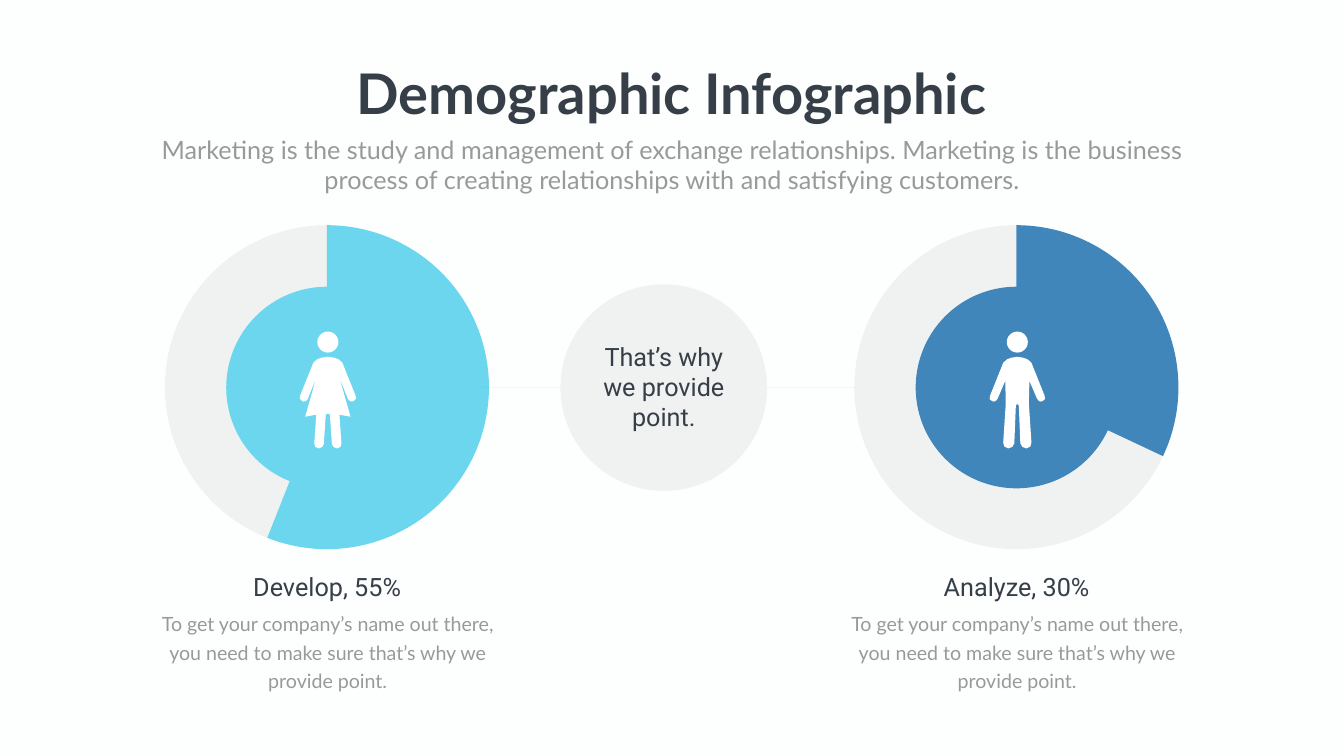
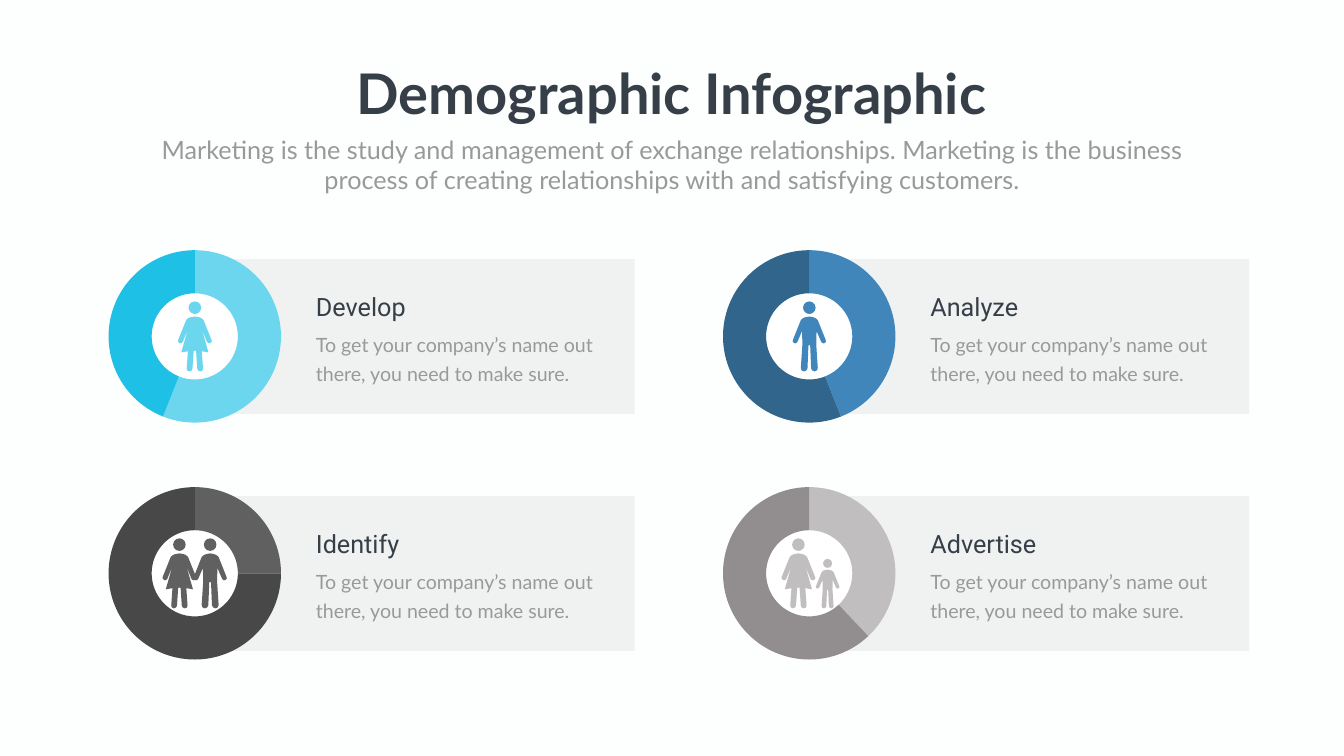
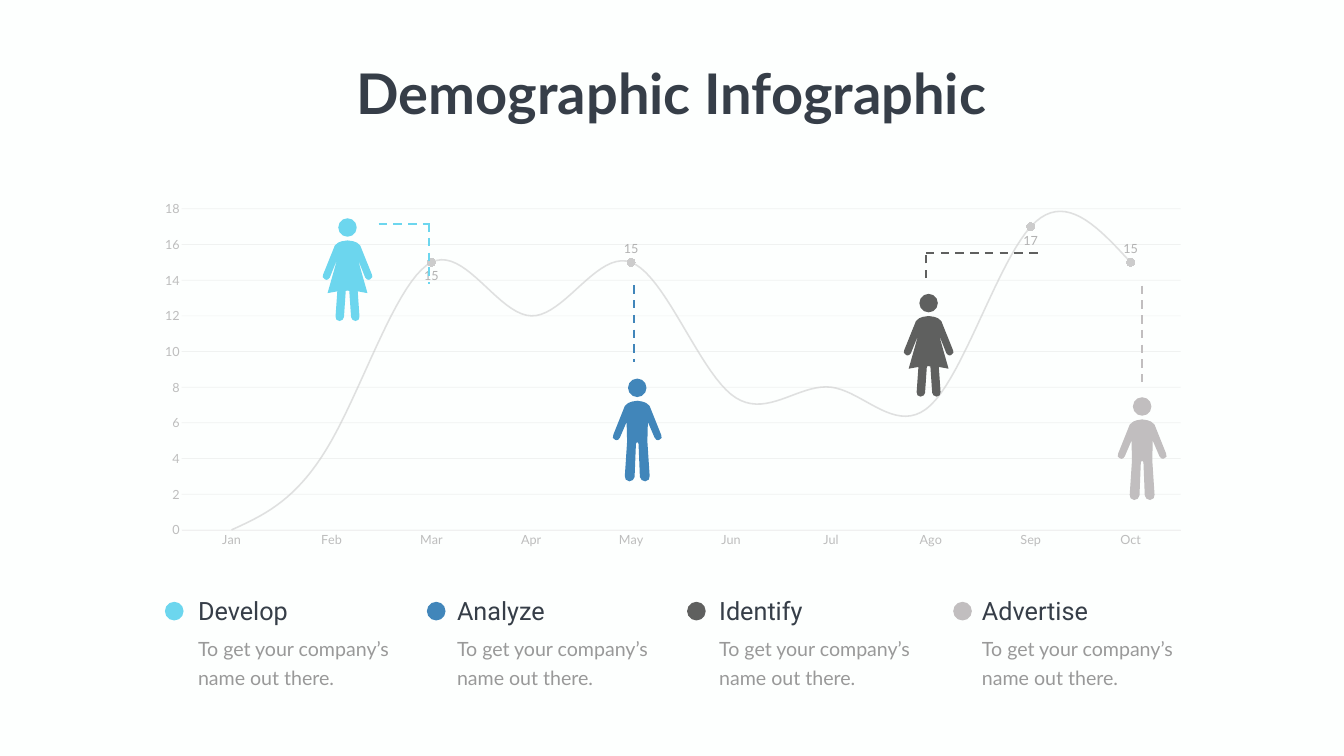
from lxml import etree
from pptx import Presentation
from pptx import util as u
from pptx.chart import data as cd
from pptx.dml import color as dc
from pptx.enum import chart as ch, dml, shapes, text
from pptx.oxml import ns

Cm, Pt = u.Cm, u.Pt
RECT, OVAL = shapes.MSO_SHAPE.RECTANGLE, shapes.MSO_SHAPE.OVAL
RING = ch.XL_CHART_TYPE.DOUGHNUT
LEFT, MID = text.PP_ALIGN.LEFT, text.PP_ALIGN.CENTER

INK = {
    "page": "FDFFFE", "white": "FFFFFF", "dark": "363E48", "gray": "999999",
    "sky": "6CD6EE", "cyan": "1EC0E5", "blue": "4186BA", "navy": "31658B",
    "coal": "5F605F", "soot": "474847", "ash": "C1BEBF", "stone": "928D8F",
    "veil": "808080", "thread": "808080", "curve": "CCCCCC", "dot": "CCCCCC",
    "base": "F0F0F0", "axis": "BDBDBD", "label": "B2B2B2",
}
ALPHA = {"veil": 10, "thread": 20, "curve": 60}  # percent
STYLE = {  # font, size, colour, bold, line spacing
    "title": ("Lato", 80, "dark", True, None),
    "lead": ("Lato", 36, "gray", False, None),
    "head": ("Roboto", 36, "dark", False, None),
    "core": ("Roboto", 36, "dark", False, Pt(43)),
    "body": ("Lato", 28, "gray", False, Pt(40.8)),
}
# Right half of each figure below the head; the full height is 232 units
HALF = {
    "woman": [(0, 50), (13, 52), (21, 55), (27, 60), (29, 62), (30, 65), (55, 127),
              (56, 133), (51, 138), (48, 139), (44, 138), (40, 134), (24, 94),
              (24, 95), (45, 169), (23, 165), (27, 222), (25, 229), (18, 232),
              (11, 229), (8, 223), (4, 164), (0, 163)],
    "man": [(0, 50), (12, 52), (20, 55), (26, 60), (28, 62), (54, 127), (55, 134),
            (50, 138), (47, 139), (43, 138), (39, 133), (24, 98), (23, 137),
            (23, 144), (28, 220), (26, 228), (18, 232), (10, 229), (6, 222),
            (3, 148), (2, 145), (0, 144)],
}


def paint(fill, name):
    """Make a fill solid, with the transparency its colour calls for."""
    fill.solid()
    fill.fore_color.rgb = dc.RGBColor.from_string(INK[name])
    if name in ALPHA:
        tone = fill._xPr.find(".//" + ns.qn("a:srgbClr"))
        etree.SubElement(tone, ns.qn("a:alpha"), val=str(ALPHA[name] * 1000))


def write(slide, words, style, x, y, w, h, align=LEFT):
    font, size, ink, bold, gap = STYLE[style]
    frame = slide.shapes.add_textbox(Cm(x), Cm(y), Cm(w), Cm(h)).text_frame
    frame.word_wrap = style != "title"
    frame.auto_size = text.MSO_AUTO_SIZE.SHAPE_TO_FIT_TEXT
    frame.text = words
    par = frame.paragraphs[0]
    par.alignment, par.line_spacing = align, gap
    par.font.name, par.font.size, par.font.bold = font, Pt(size), bold
    par.font.color.rgb = dc.RGBColor.from_string(INK[ink])


deck = Presentation()
deck.slide_width, deck.slide_height = Cm(67.72), Cm(38.1)
share, grid, trend = [deck.slides.add_slide(deck.slide_layouts[6]) for _ in range(3)]
for slide in (share, grid, trend):
    paint(slide.background.fill, "page")

forms = []   # slide, kind, left, top, width, height, colour (or ring data)
people = []  # slide, kind, centre, top, height, colour
lines = []   # slide, x1, y1, x2, y2, colour
words = []   # slide, words, style, left, top, width, height, alignment
plots = []   # chart, layout of its plot area

# Slide 1: two shares and a link
PITCH = "To get your company’s name out there, you need to make sure that’s why we provide point."
for x, kind, label, part, ink in ((7.42, "woman", "Develop, 55%", 56, "sky"),
                                  (42.16, "man", "Analyze, 30%", 32, "blue")):
    forms += [(share, RING, x, 11.02, 18.11, 16.99, (part, ink, "veil", 80, 16.33)),
              (share, OVAL, x + 3.98, 14.45, 10.16, 10.16, ink)]
    people.append((share, kind, x + 9.1, 16.71, 5.89, "white"))
    words += [(share, PITCH, "body", x + .05, 30.48, 18.08, 4.5, MID),
              (share, label, "head", x + 1.8, 28.68, 14.53, 1.8, MID)]
forms.append((share, OVAL, 28.24, 14.33, 10.41, 10.41, "veil"))
words.append((share, "That’s why we provide point.", "core", 29.41, 17.09, 8.08, 4.85, MID))
lines += [(share, 24.28, 19.53, 28.24, 19.53, "thread"),
          (share, 38.66, 19.53, 43.1, 19.53, "thread")]

# Slide 2: two by two cards
CARDS = [("Develop", 56, "sky", "cyan", 6.83), ("Analyze", 44, "blue", "navy", 6.83),
         ("Identify", 25, "coal", "soot", 8.59), ("Advertise", 38, "ash", "stone", 6.83)]
for i, (label, part, ink, deep, disc) in enumerate(CARDS):
    x, y = 11.1 + i % 2 * 30.96, 13.06 + i // 2 * 11.94
    forms += [(grid, RECT, x, y, 20.88, 7.8, "veil"),
              (grid, OVAL, x - 1.28 - disc / 2, y + 3.9 - disc / 2, disc, disc, "white"),
              (grid, RING, x - 6.29, y - .79, 10.01, 9.37, (part, ink, deep, 70, 8.69))]
    words += [(grid, "To get your company’s name out there, you need to make sure.",
               "body", x + 4.57, y + 3.35, 14.94, 3.02, LEFT),
              (grid, label, "head", x + 4.57, y + 1.52, 14.53, 1.8, LEFT)]
people += [(grid, "woman", 9.82, 15.19, 3.53, "sky"), (grid, "man", 40.78, 15.19, 3.53, "blue"),
           (grid, "man", 10.59, 27.13, 3.53, "coal"), (grid, "woman", 9.04, 27.13, 3.53, "coal"),
           (grid, "woman", 40.23, 27.13, 3.53, "ash"), (grid, "man", 41.7, 28.17, 2.49, "ash")]

# Slide 3: monthly curve, markers and key
info = cd.CategoryChartData()
info.categories = ["Jan", "Feb", "Mar", "Apr", "May", "Jun", "Jul", "Ago", "Sep", "Oct"]
info.add_series("Series 1", (0, 5, 15, 12, 15, 7.6, 8, 7, 17, 15))
chart = trend.shapes.add_chart(ch.XL_CHART_TYPE.LINE_MARKERS, Cm(7.29), Cm(9.8),
                               Cm(53.21), Cm(18.16), info).chart
plots.append((chart, (.035, .04, .946, .891)))
chart.font.name, chart.font.size = "Lato", Pt(18)
for axis in (chart.category_axis, chart.value_axis):
    axis.major_tick_mark = axis.minor_tick_mark = ch.XL_TICK_MARK.NONE
    font = axis.tick_labels.font
    font.name, font.size = "Lato", Pt(18)
    font.color.rgb = dc.RGBColor.from_string(INK["axis"])
paint(chart.category_axis.format.line.fill, "base")
chart.category_axis.format.line.width = Pt(.75)
scale = chart.value_axis
scale.minimum_scale, scale.maximum_scale, scale.major_unit = 0, 18, 2
scale.format.line.fill.background()
mesh = scale.major_gridlines.format.line
mesh.width = Pt(1)
paint(mesh.fill, "veil")
curve = chart.plots[0].series[0]
curve.smooth = True
curve.format.line.width = Pt(2.25)
paint(curve.format.line.fill, "curve")
curve.marker.style = ch.XL_MARKER_STYLE.NONE
BELOW, ABOVE = ch.XL_LABEL_POSITION.BELOW, ch.XL_LABEL_POSITION.ABOVE
for i, side in ((2, BELOW), (4, ABOVE), (8, BELOW), (9, ABOVE)):
    point = curve.points[i]
    point.format.line.width = Pt(2.25)
    paint(point.format.line.fill, "curve")
    point.marker.style, point.marker.size = ch.XL_MARKER_STYLE.CIRCLE, 11
    paint(point.marker.format.fill, "dot")
    point.marker.format.line.fill.background()
    font = point.data_label.font
    font.name, font.size = "Lato", Pt(18)
    font.color.rgb = dc.RGBColor.from_string(INK["label"])
    point.data_label.position = side
curve.data_labels.show_value = False

lines += [(trend, 21.62, 11.25, 21.62, 14.33, "sky"), (trend, 19.08, 11.28, 21.62, 11.28, "sky"),
          (trend, 31.93, 14.38, 31.93, 18.24, "blue"),
          (trend, 46.66, 12.73, 52.32, 12.73, "coal"), (trend, 46.68, 14.02, 46.68, 12.73, "coal"),
          (trend, 57.56, 14.4, 57.56, 19.38, "ash")]
people += [(trend, "woman", 17.51, 11, 5.18, "sky"), (trend, "man", 57.55, 20.02, 5.18, "ash"),
           (trend, "man", 32.11, 19.08, 5.18, "blue"), (trend, "woman", 46.79, 14.81, 5.18, "coal")]
for card, x, dot in zip(CARDS, (9.73, 22.78, 35.99, 49.23), (8.31, 21.51, 34.62, 48.03)):
    forms.append((trend, OVAL, dot, 30.33, .94, .94, card[2]))
    words += [(trend, "To get your company’s name out there.", "body", x, 31.72, 11.13, 3.02, LEFT),
              (trend, card[0], "head", x, 29.9, 11.13, 1.8, LEFT)]

# Draw what the slides have gathered
for slide, kind, x, y, h, ink in people:
    forms += [(slide, kind, x, y, 0, h, ink),
              (slide, OVAL, x - .09 * h, y, .18 * h, .18 * h, ink)]

for slide, kind, x, y, w, h, ink in forms:
    if kind == RING:
        part, front, back, hole, size = ink
        info = cd.CategoryChartData()
        info.categories = ["1", "2"]
        info.add_series("Series 1", (part, 100 - part))
        chart = slide.shapes.add_chart(RING, Cm(x), Cm(y), Cm(w), Cm(h), info).chart
        chart.has_legend = chart.has_title = False
        chart.font.name, chart.font.size = "Calibri", Pt(10)
        for i, tone in enumerate((front, back)):
            look = chart.plots[0].series[0].points[i].format
            paint(look.fill, tone)
            look.line.fill.background()
        chart._chartSpace.find(".//" + ns.qn("c:holeSize")).set("val", str(hole))
        plots.append((chart, ((1 - size / w) / 2, (1 - size / h) / 2, size / w, size / h)))
        continue
    if kind in HALF:
        half = HALF[kind]
        ring = half + [(-a, b) for a, b in reversed(half[1:-1])]
        pen = slide.shapes.build_freeform(*ring[0], scale=Cm(h) / 232)
        pen.add_line_segments(ring[1:], close=True)
        form = pen.convert_to_shape(Cm(x), Cm(y))
    else:
        form = slide.shapes.add_shape(kind, Cm(x), Cm(y), Cm(w), Cm(h))
    form.shadow.inherit = False
    paint(form.fill, ink)
    form.line.fill.background()

for chart, box in plots:
    area = chart._chartSpace.find(".//" + ns.qn("c:plotArea"))
    for old in area.findall(ns.qn("c:layout")):
        area.remove(old)
    layout = etree.Element(ns.qn("c:layout"))
    area.insert(0, layout)
    manual = etree.SubElement(layout, ns.qn("c:manualLayout"))
    marks = [("layoutTarget", "inner"), ("xMode", "edge"), ("yMode", "edge")]
    for tag, val in marks + list(zip("xywh", box)):
        etree.SubElement(manual, ns.qn("c:" + tag), val=str(val))
    chart.has_legend = chart.has_title = False

for slide, x1, y1, x2, y2, ink in lines:
    link = slide.shapes.add_connector(shapes.MSO_CONNECTOR.STRAIGHT, Cm(x1), Cm(y1), Cm(x2), Cm(y2))
    paint(link.line.fill, ink)
    link.line.width = Pt(.5 if slide is share else 3)
    if slide is trend:
        link.line.dash_style = dml.MSO_LINE.DASH
    etree.SubElement(link._element.spPr, ns.qn("a:effectLst"))

for slide in (share, grid, trend):
    words.append((slide, "Demographic Infographic", "title", 17.42, 2.84, 32.84, 3.68, MID))
for slide in (share, grid):
    words.append((slide, "Marketing is the study and management of exchange relationships. "
                  "Marketing is the business process of creating relationships with and "
                  "satisfying customers.", "lead", 7.42, 6.63, 52.88, 3.33, MID))
for item in words:
    write(*item)

deck.save("out.pptx")
